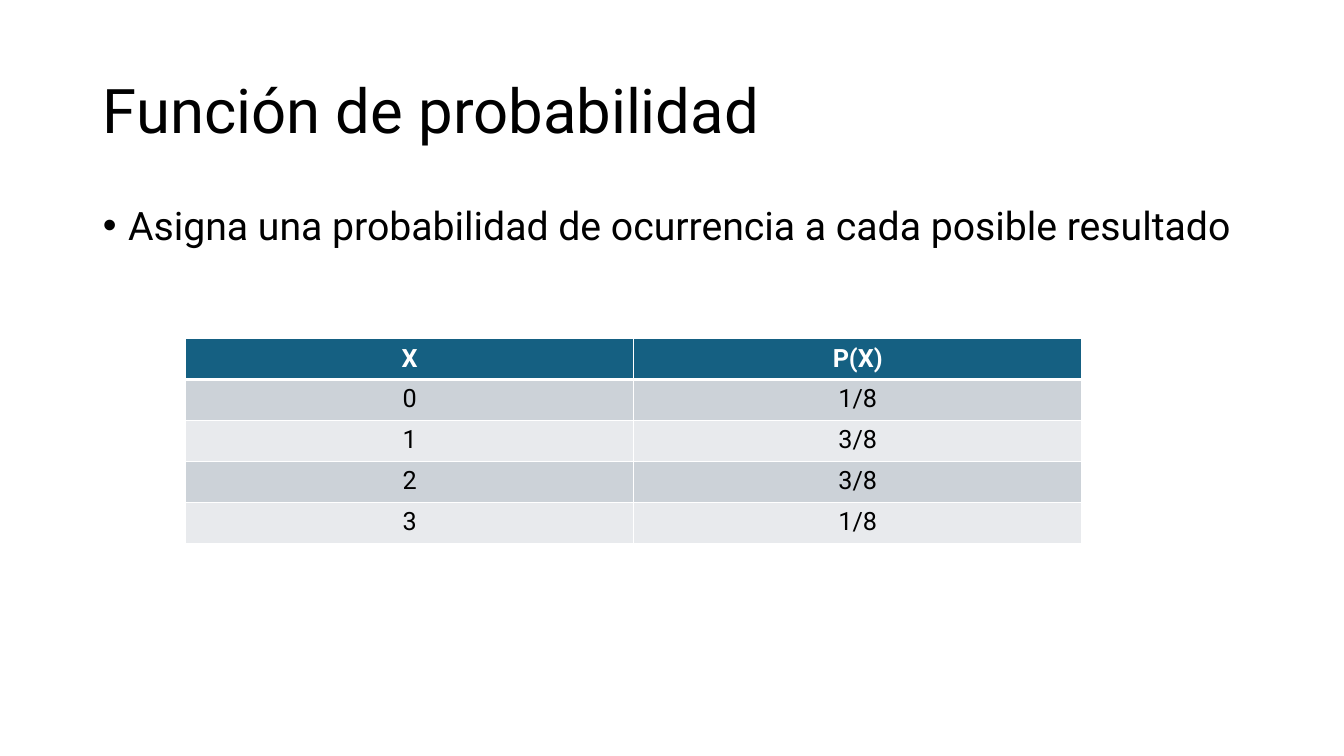
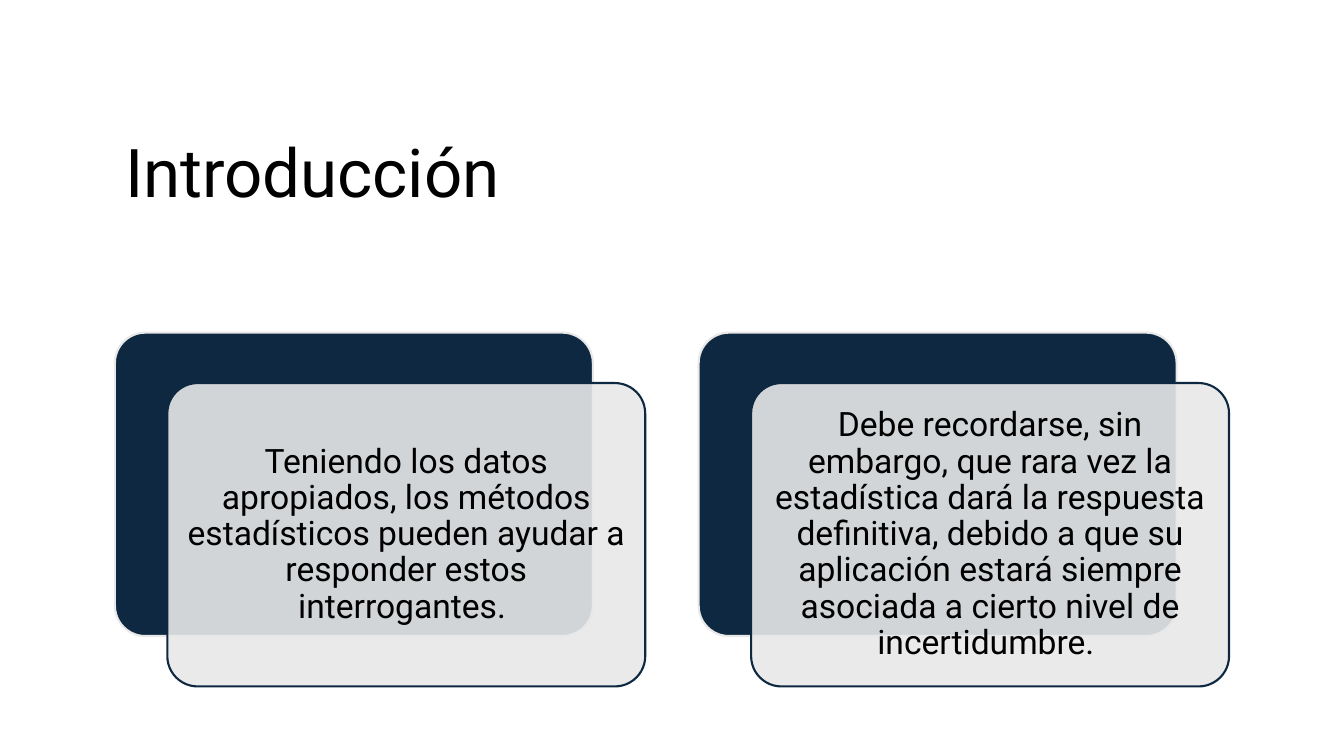
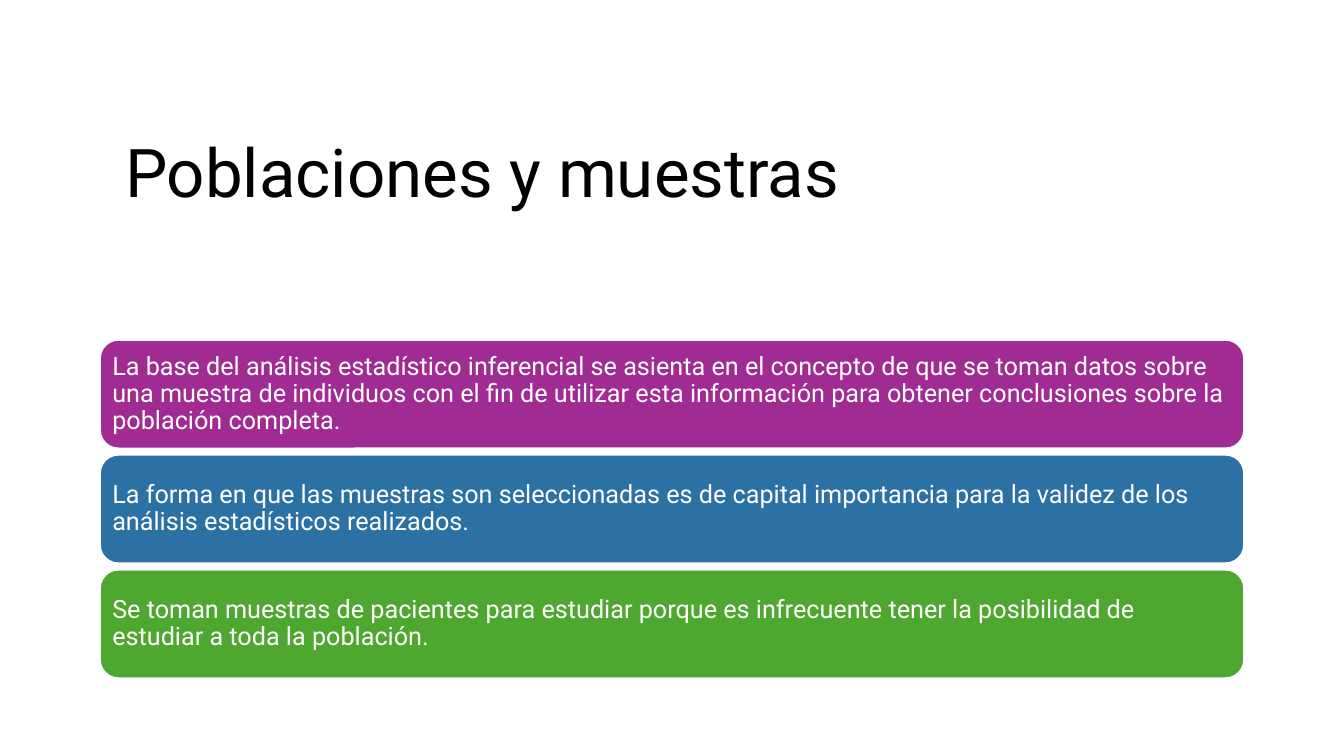
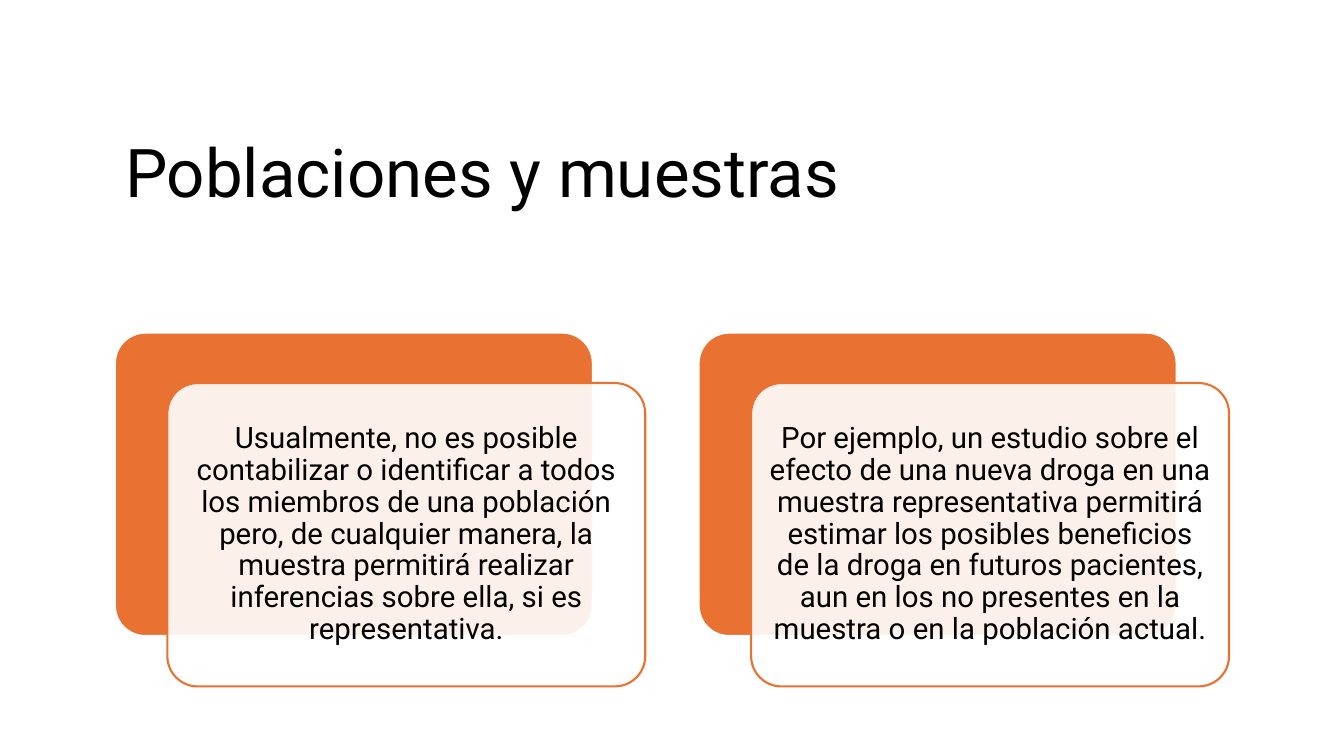
from lxml import etree
from pptx import Presentation
from pptx import util as u
from pptx.dml import color
from pptx.enum import shapes, text
from pptx.oxml import ns

FONT = "Roboto"
BLACK, WHITE = "000000", "FFFFFF"
NAVY, MIST, ORANGE = "0E2841", "E8E8E8", "E97132"
HEADER, DARK_BAND, LIGHT_BAND = "156082", "CCD2D8", "E8EAED"
TITLE_BOX = (1.14, 0.89, 11.13, 1.7)
CARDS_BOX = (1.14, 3.3, 11.05, 3.51)
BARS_BOX = (0.99, 3.37, 11.35, 3.36)
TITLE_ONLY, TITLE_AND_BODY = 5, 1


def rgb(value):
    """Turn a hex string into a colour."""
    return color.RGBColor.from_string(value)


def place(shape, box):
    """Move and size a shape to a box given in inches."""
    shape.left, shape.top, shape.width, shape.height = map(u.Inches, box)


def write(frame, words, size, ink=BLACK, align=text.PP_ALIGN.LEFT, bold=False, spacing=0.9):
    """Write one formatted paragraph into a text frame."""
    para = frame.paragraphs[0]
    para.alignment = align
    para.line_spacing = spacing
    span = para.add_run()
    span.text = words
    span.font.name, span.font.size, span.font.bold = FONT, u.Pt(size), bold
    span.font.color.rgb = rgb(ink)
    return para


def add_page(deck, title, layout=TITLE_ONLY, box=TITLE_BOX, size=48):
    """Add a slide with its title."""
    page = deck.slides.add_slide(deck.slide_layouts[layout])
    place(page.shapes.title, box)
    frame = page.shapes.title.text_frame
    frame.auto_size = text.MSO_AUTO_SIZE.NONE
    frame.vertical_anchor = text.MSO_ANCHOR.MIDDLE
    write(frame, title, size)
    return page


def add_bullet(page, box, words):
    """Fill the body placeholder with one bulleted paragraph."""
    body = page.placeholders[1]
    place(body, box)
    body.text_frame.auto_size = text.MSO_AUTO_SIZE.NONE
    para = write(body.text_frame, words, 28)
    para.space_before = u.Pt(10)
    props = para._p.get_or_add_pPr()
    props.set("marL", str(u.Inches(0.25)))
    props.set("indent", str(u.Inches(-0.25)))


def add_border(cell, side, points):
    """Draw one white border of a table cell."""
    props = cell._tc.get_or_add_tcPr()
    line = etree.SubElement(props, ns.qn(f"a:ln{side}"), w=str(u.Pt(points)))
    fill = etree.SubElement(line, ns.qn("a:solidFill"))
    etree.SubElement(fill, ns.qn("a:srgbClr"), val=WHITE)


def add_grid(page, box, rows):
    """Add a table with a header row and banded rows."""
    frame = page.shapes.add_table(len(rows), len(rows[0]), *map(u.Inches, box))
    frame.table.horz_banding = False
    for r, row in enumerate(rows):
        fill = HEADER if r == 0 else (DARK_BAND if r % 2 else LIGHT_BAND)
        widths = {"L": 1, "R": 1, "T": 3 if r == 1 else 1, "B": 3 if r == 0 else 1}
        for c, words in enumerate(row):
            cell = frame.table.cell(r, c)
            for side, points in widths.items():
                add_border(cell, side, points)
            cell.fill.solid()
            cell.fill.fore_color.rgb = rgb(fill)
            write(cell.text_frame, words, 18, BLACK if r else WHITE,
                  text.PP_ALIGN.CENTER, r == 0, 1.0)


def add_panel(page, box, fill, line, corner, opacity=100):
    """Add a rounded rectangle with a fill and an outline."""
    panel = page.shapes.add_shape(shapes.MSO_SHAPE.ROUNDED_RECTANGLE, *map(u.Inches, box))
    panel.shadow.inherit = False
    panel.adjustments[0] = corner
    panel.fill.solid()
    panel.fill.fore_color.rgb = rgb(fill)
    panel.line.color.rgb = rgb(line)
    panel.line.width = u.Pt(1.5)
    if opacity < 100:
        tone = panel.element.spPr.find(".//" + ns.qn("a:srgbClr"))
        etree.SubElement(tone, ns.qn("a:alpha"), val=str(opacity * 1000))
    return panel


def fill_panel(panel, words, size, ink, align, inset):
    """Write centred-in-height text inside a panel."""
    frame = panel.text_frame
    frame.word_wrap = True
    frame.vertical_anchor = text.MSO_ANCHOR.MIDDLE
    frame.margin_left = frame.margin_right = u.Inches(inset)
    frame.margin_top = frame.margin_bottom = u.Inches(inset)
    write(frame, words, size, ink, align)


def add_cards(page, box, words, dark, light, size, inset):
    """Add a row of cards, each a pale panel over a shifted dark one."""
    left, top, width, height = box
    shift_x, shift_y, gap = 0.52, 0.5, 0.53
    card_width = (width - gap * (len(words) - 1)) / len(words)
    panel_width, panel_height = card_width - shift_x, height - shift_y
    for i, sentence in enumerate(words):
        x = left + i * (card_width + gap)
        add_panel(page, (x, top, panel_width, panel_height), dark, light, 0.1)
        front = add_panel(page, (x + shift_x, top + shift_y, panel_width, panel_height),
                          light, dark, 0.1, 90)
        fill_panel(front, sentence, size, BLACK, text.PP_ALIGN.CENTER, inset)


def add_bars(page, box, bars):
    """Stack coloured text bars with equal gaps."""
    left, top, width, height = box
    gap = 0.06
    bar_height = (height - gap * (len(bars) - 1)) / len(bars)
    for i, (fill, words) in enumerate(bars):
        bar_box = (left, top + i * (bar_height + gap), width, bar_height)
        bar = add_panel(page, bar_box, fill, WHITE, 0.17)
        fill_panel(bar, words, 18, WHITE, text.PP_ALIGN.LEFT, 0.07)


def main():
    """Build the four slides and save them."""
    deck = Presentation()
    deck.slide_width, deck.slide_height = u.Inches(13.33), u.Inches(7.5)

    page = add_page(deck, "Función de probabilidad", TITLE_AND_BODY, (0.92, 0.4, 11.5, 1.45), 44)
    add_bullet(page, (0.92, 2, 11.5, 4.76),
               "Asigna una probabilidad de ocurrencia a cada posible resultado")
    add_grid(page, (1.84, 3.36, 8.89, 2.03),
             [("X", "P(X)"), ("0", "1/8"), ("1", "3/8"), ("2", "3/8"), ("3", "1/8")])

    page = add_page(deck, "Introducción")
    add_cards(page, CARDS_BOX, [
        "Teniendo los datos apropiados, los métodos estadísticos pueden ayudar a responder "
        "estos interrogantes. ",
        "Debe recordarse, sin embargo, que rara vez la estadística dará la respuesta definitiva, "
        "debido a que su aplicación estará siempre asociada a cierto nivel de incertidumbre. ",
    ], NAVY, MIST, 24, 0.1)

    page = add_page(deck, "Poblaciones y muestras")
    add_bars(page, BARS_BOX, [
        ("A02B93", "La base del análisis estadístico inferencial se asienta en el concepto de que "
         "se toman datos sobre una muestra de individuos con el fin de utilizar esta información "
         "para obtener conclusiones sobre la población completa."),
        ("2C71A4", "La forma en que las muestras son seleccionadas es de capital importancia para "
         "la validez de los análisis estadísticos realizados."),
        ("4EA72E", "Se toman muestras de pacientes para estudiar porque es infrecuente tener la "
         "posibilidad de estudiar a toda la población."),
    ])

    page = add_page(deck, "Poblaciones y muestras")
    add_cards(page, CARDS_BOX, [
        "Usualmente, no es posible contabilizar o identificar a todos los miembros de una "
        "población pero, de cualquier manera, la muestra permitirá realizar inferencias sobre "
        "ella, si es representativa.",
        "Por ejemplo, un estudio sobre el efecto de una nueva droga en una muestra "
        "representativa permitirá estimar los posibles beneficios de la droga en futuros "
        "pacientes, aun en los no presentes en la muestra o en la población actual.",
    ], ORANGE, WHITE, 21, 0.09)

    deck.save("out.pptx")


if __name__ == "__main__":
    main()
